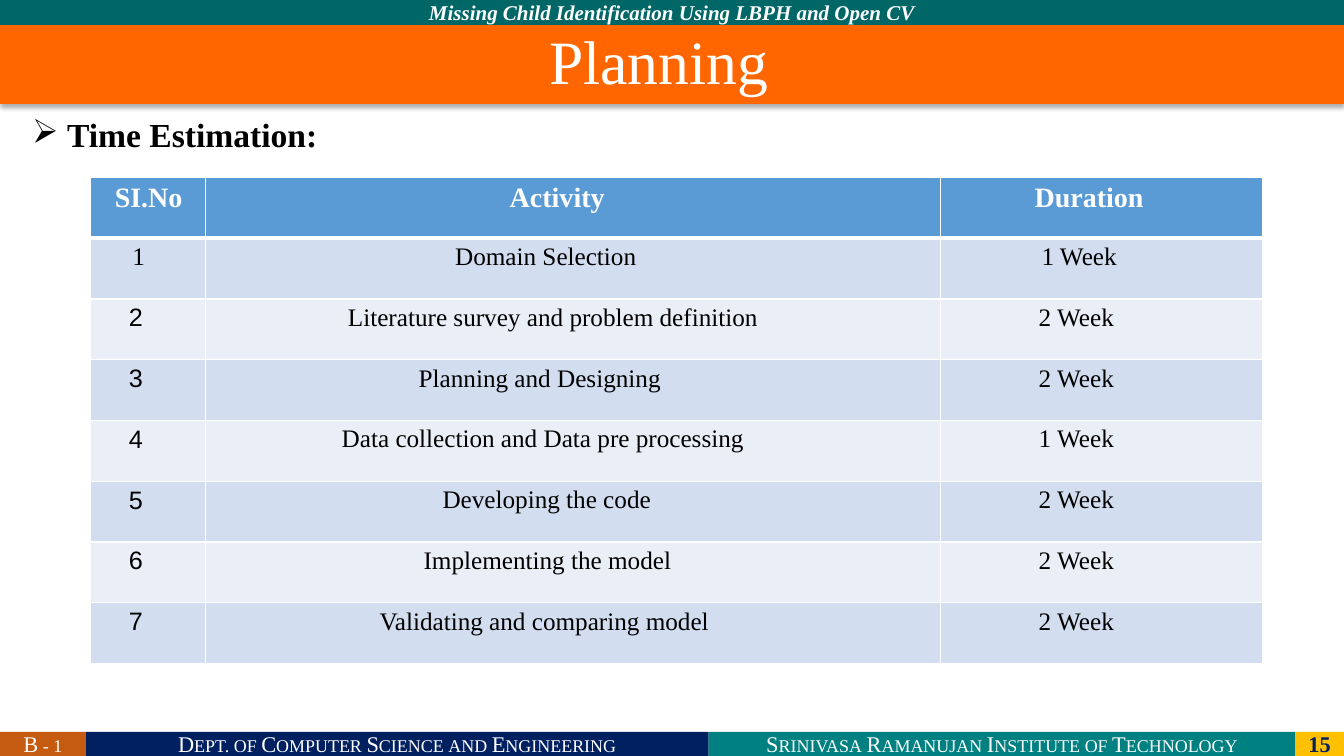
import pptx
import pptx.dml.color
import pptx.enum.shapes
import pptx.enum.text
import pptx.oxml
import pptx.oxml.ns
import pptx.util

Pt = pptx.util.Pt
ALIGN = pptx.enum.text.PP_ALIGN
ANCHOR = pptx.enum.text.MSO_ANCHOR
COLORS = {
    "white": "FFFFFF", "black": "000000", "navy": "002060", "teal": "008080",
    "gold": "FFC000", "pine": "006666", "rust": "C55A11", "orange": "FF6600",
    "header": "5B9BD5", "odd": "D2DEEF", "even": "EAEFF7",
}
SERIF, SANS = "Times New Roman", "Arial"
WIDTH, HEIGHT = 960, 540
FOOTER_TOP, BAR_HEIGHT = 522.7, 17.3
COLUMNS = [82.1, 524.9, 230.4]
ROW_HEIGHT = 43.4
ACTIVITIES = [
    ("Domain Selection", 178.2, "1 Week"),
    ("Literature survey and problem definition", 101.7, "2 Week"),
    ("Planning and Designing", 152.2, "2 Week"),
    ("Data collection and Data pre processing", 97.2, "1 Week"),
    ("Developing the code", 169.2, "2 Week"),
    ("Implementing the model", 155.7, "2 Week"),
    ("Validating and comparing model", 124.2, "2 Week"),
]


def rgb(name):
    return pptx.dml.color.RGBColor.from_string(COLORS[name])


def xml(markup):
    start, rest = markup.split(" ", 1)
    namespace = pptx.oxml.ns.nsdecls("a")
    return pptx.oxml.parse_xml(f"{start} {namespace} {rest}")


def write(frame, text, size=18, color="black", font=SERIF, bold=False,
          italic=False, small_caps=False, align=ALIGN.LEFT, spacing=None,
          bullet=None, hang=0):
    para = frame.paragraphs[0]
    if bullet:
        properties = para._p.get_or_add_pPr()
        properties.set("marL", str(Pt(hang)))
        properties.set("indent", str(Pt(-hang)))
        properties.append(xml(f'<a:buChar char="{bullet}"/>'))
    para.alignment = align
    if spacing:
        para.line_spacing = spacing
    span = para.add_run()
    span.text = text
    span.font.size = Pt(size)
    span.font.name = font
    span.font.bold = bold
    span.font.italic = italic
    span.font.color.rgb = rgb(color)
    if small_caps:
        span._r.get_or_add_rPr().set("cap", "small")


class SlideBuilder:
    def __init__(self, page):
        self.page = page

    def bar(self, left, top, width, height, fill, text, inset=0, **style):
        box = self.page.shapes.add_shape(
            pptx.enum.shapes.MSO_SHAPE.RECTANGLE,
            Pt(left), Pt(top), Pt(width), Pt(height))
        box.shadow.inherit = False
        box.fill.solid()
        box.fill.fore_color.rgb = rgb(fill)
        box.line.fill.background()
        frame = box.text_frame
        frame.word_wrap = True
        frame.vertical_anchor = ANCHOR.MIDDLE
        frame.margin_left = Pt(inset)
        frame.margin_right = frame.margin_top = frame.margin_bottom = 0
        write(frame, text, **style)
        return box

    def drop_shadow(self, box):
        effects = box._element.spPr.find(pptx.oxml.ns.qn("a:effectLst"))
        effects.append(xml(
            f'<a:outerShdw blurRad="{Pt(3.5)}" dist="{Pt(2.2)}" dir="5400000" '
            f'rotWithShape="0"><a:srgbClr val="{COLORS["black"]}">'
            '<a:alpha val="32000"/></a:srgbClr></a:outerShdw>'))

    def text(self, left, top, width, height, text, **style):
        box = self.page.shapes.add_textbox(
            Pt(left), Pt(top), Pt(width), Pt(height))
        box.text_frame.word_wrap = True
        write(box.text_frame, text, **style)

    def table(self, left, top, columns, row_height, rows):
        grid = self.page.shapes.add_table(
            len(rows), len(columns), Pt(left), Pt(top),
            Pt(sum(columns)), Pt(row_height * len(rows))).table
        for column, width in zip(grid.columns, columns):
            column.width = Pt(width)
        for number, row in enumerate(rows):
            grid.rows[number].height = Pt(row_height)
            fill = "header" if number == 0 else "odd" if number % 2 else "even"
            for position, (text, indent, style) in enumerate(row):
                self.cell(grid.cell(number, position), number, fill,
                          text, indent, style)

    def cell(self, cell, number, fill, text, indent, style):
        widths = {"L": 1, "R": 1, "T": 3 if number == 1 else 1,
                  "B": 3 if number == 0 else 1}
        properties = cell._tc.get_or_add_tcPr()
        for side, width in widths.items():
            properties.append(xml(
                f'<a:ln{side} w="{Pt(width)}"><a:solidFill>'
                f'<a:srgbClr val="{COLORS["white"]}"/>'
                f'</a:solidFill></a:ln{side}>'))
        cell.fill.solid()
        cell.fill.fore_color.rgb = rgb(fill)
        cell.margin_left = Pt(indent)
        write(cell.text_frame, text, **style)


def schedule():
    heading = {"size": 20, "color": "white", "bold": True}
    rows = [[("SI.No", 17.2, heading), ("Activity", 217.2, heading),
             ("Duration", 67.2, heading)]]
    for number, (activity, indent, duration) in enumerate(ACTIVITIES, 1):
        first = number == 1
        rows.append([
            (str(number), 29.7 if first else 27.2,
             {"font": SERIF if first else SANS}),
            (activity, indent, {}),
            (duration, 72.2 if first else 70.2, {}),
        ])
    return rows


def main():
    deck = pptx.Presentation()
    deck.slide_width, deck.slide_height = Pt(WIDTH), Pt(HEIGHT)
    builder = SlideBuilder(deck.slides.add_slide(deck.slide_layouts[6]))
    caps = {"color": "white", "small_caps": True}
    footer = [
        (61.2, "rust", "B - 1", caps),
        (445, "navy", "Dept. of Computer Science and Engineering", caps),
        (419, "teal", "Srinivasa Ramanujan Institute of Technology", caps),
        (34.8, "gold", "15", {"color": "navy", "bold": True}),
    ]
    left = 0
    for width, fill, text, style in footer:
        builder.bar(left, FOOTER_TOP, width, BAR_HEIGHT, fill, text,
                    size=16, align=ALIGN.CENTER, **style)
        left += width
    builder.bar(0, 0, WIDTH, 18, "pine",
                "Missing Child Identification Using LBPH and Open CV",
                size=15, color="white", bold=True, italic=True,
                align=ALIGN.CENTER)
    title = builder.bar(0, 18, WIDTH, 56.2, "orange", "Planning", inset=392.2,
                        size=44, color="white", spacing=0.9)
    builder.drop_shadow(title)
    builder.text(15.8, 81.4, 927.4, 432.7, "Time Estimation:", size=24,
                 bold=True, align=ALIGN.JUSTIFY, spacing=0.9,
                 bullet="➢", hang=25)
    builder.table(64.8, 126.7, COLUMNS, ROW_HEIGHT, schedule())
    deck.save("out.pptx")


if __name__ == "__main__":
    main()
